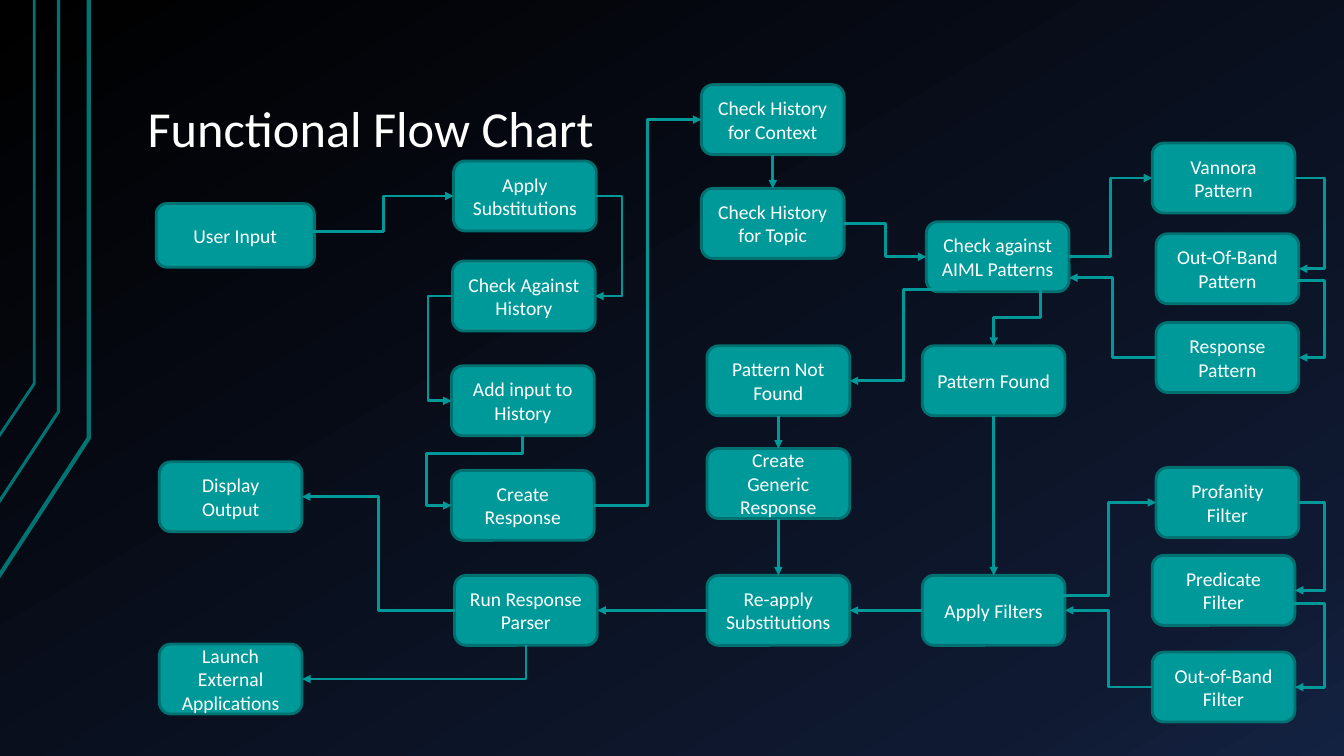
from copy import deepcopy

from lxml import etree
from pptx import Presentation
from pptx.dml.color import RGBColor
from pptx.enum.shapes import MSO_CONNECTOR, MSO_SHAPE
from pptx.enum.text import MSO_ANCHOR, PP_ALIGN
from pptx.oxml.ns import qn
from pptx.util import Pt

STRAIGHT, ELBOW = MSO_CONNECTOR.STRAIGHT, MSO_CONNECTOR.ELBOW
ROUNDED = MSO_SHAPE.ROUNDED_RECTANGLE
MIDDLE, BOTTOM = MSO_ANCHOR.MIDDLE, MSO_ANCHOR.BOTTOM
CENTER, LEFT_ALIGN = PP_ALIGN.CENTER, PP_ALIGN.LEFT

WHITE = RGBColor(0xFF, 0xFF, 0xFF)
TEAL = RGBColor(0x00, 0x99, 0x99)
DARK_TEAL = RGBColor(0x00, 0x71, 0x71)
TRIM_TEAL = RGBColor(0x00, 0x73, 0x73)
BACKDROP = [
    (0, RGBColor(0x00, 0x00, 0x00)),
    (0.85, RGBColor(0x0F, 0x19, 0x31)),
    (1, RGBColor(0x14, 0x22, 0x42)),
]
FONT = "Calibri"

SLIDE_W, SLIDE_H = 960, 540
STEP_W, STEP_H = 102, 50
LOOP_X = 946  # outer turn of the loops at the right edge

# Anchors are fractions of a step's width and height.
TOP, LEFT, BOTTOM_MID, RIGHT = (0.5, 0), (0, 0.5), (0.5, 1), (1, 0.5)
SITES = [TOP, LEFT, BOTTOM_MID, RIGHT]

# Label: (left, top)
STEPS = {
    "User Input": (111.6, 145.4),
    "Display Output": (113.8, 329.8),
    "Launch External Applications": (113.8, 460),
    "Apply Substitutions": (324, 115),
    "Check Against History": (323.2, 186.5),
    "Add input to History": (322.5, 261.3),
    "Create Response": (322.5, 336),
    "Run Response Parser": (324.7, 411),
    "Check History for Context": (501, 60.5),
    "Check History for Topic": (501, 134.6),
    "Pattern Not Found": (505, 247),
    "Create Generic Response": (505, 320.4),
    "Re-apply Substitutions": (505, 411),
    "Check against AIML Patterns": (661.7, 158.4),
    "Pattern Found": (658.8, 247),
    "Apply Filters": (658.8, 411),
    "Vannora Pattern": (823, 102.2),
    "Out-Of-Band Pattern": (825.8, 167),
    "Response Pattern": (825.8, 230.4),
    "Profanity Filter": (825.8, 334),
    "Predicate Filter": (823, 396.7),
    "Out-of-Band Filter": (823, 465.8),
}
WIDE_STEPS = {"User Input": (113, 45.5)}

STRAIGHT_FLOWS = [
    ("Check History for Context", BOTTOM_MID, "Check History for Topic", TOP),
    ("Pattern Not Found", BOTTOM_MID, "Create Generic Response", TOP),
    ("Create Generic Response", BOTTOM_MID, "Re-apply Substitutions", TOP),
    ("Pattern Found", BOTTOM_MID, "Apply Filters", TOP),
    ("Apply Filters", LEFT, "Re-apply Substitutions", RIGHT),
    ("Re-apply Substitutions", LEFT, "Run Response Parser", RIGHT),
]

# Last item: x of the vertical stretch, None for half way
SIDE_FLOWS = [
    ("User Input", (0.99, 0.44), "Apply Substitutions", LEFT, None),
    ("Apply Substitutions", RIGHT, "Check Against History", RIGHT, 444.5),
    ("Check Against History", LEFT, "Add input to History", LEFT, 306),
    ("Create Response", RIGHT, "Check History for Context", LEFT, None),
    ("Check History for Topic", RIGHT, "Check against AIML Patterns", LEFT, None),
    ("Check against AIML Patterns", RIGHT, "Vannora Pattern", LEFT, None),
    ("Vannora Pattern", RIGHT, "Out-Of-Band Pattern", RIGHT, LOOP_X),
    ("Out-Of-Band Pattern", (0.96, 0.67), "Response Pattern", RIGHT, LOOP_X),
    ("Response Pattern", LEFT, "Check against AIML Patterns", (1, 0.8), None),
    ("Check against AIML Patterns", (0.22, 0.97), "Pattern Not Found", RIGHT, None),
    ("Apply Filters", (0.85, 0.29), "Profanity Filter", LEFT, 791.5),
    ("Profanity Filter", RIGHT, "Predicate Filter", RIGHT, LOOP_X),
    ("Predicate Filter", (0.97, 0.69), "Out-of-Band Filter", RIGHT, LOOP_X),
    ("Out-of-Band Filter", LEFT, "Apply Filters", RIGHT, None),
    ("Run Response Parser", LEFT, "Display Output", RIGHT, None),
]

# Last items: connector preset and its bends
DROP_FLOWS = [
    ("Check against AIML Patterns", (0.8, 0.97), "Pattern Found", TOP,
     "bentConnector3", [0.5]),
    ("Add input to History", BOTTOM_MID, "Create Response", LEFT,
     "bentConnector4", [0.25, 1.35]),
    ("Run Response Parser", BOTTOM_MID, "Launch External Applications", RIGHT,
     "bentConnector2", []),
]


def paint_background(slide):
    fill = slide.background.fill
    fill.gradient()
    fill.gradient_angle = 300
    stop_list = next(slide.element.iter(qn("a:gsLst")))
    stop_list.append(deepcopy(stop_list[-1]))
    for stop, (position, color) in zip(fill.gradient_stops, BACKDROP):
        stop.position = position
        stop.color.rgb = color


def add_corner_trim(slide):
    """Draw the three bent lines along the left edge: x, bend y, foot y, weight."""
    for x, bend, foot, weight in [(63.4, 313, 412, 3), (41.8, 294, 359, 2.25),
                                  (24.5, 274, 312, 2)]:
        builder = slide.shapes.build_freeform(Pt(-1), Pt(foot))
        builder.add_line_segments([(Pt(x), Pt(bend)), (Pt(x), 0)], close=False)
        trim = builder.convert_to_shape()
        trim.shadow.inherit = False
        trim.fill.background()
        trim.line.color.rgb = TRIM_TEAL
        trim.line.width = Pt(weight)


def format_text(frame, size, align, anchor):
    frame.word_wrap = True
    frame.vertical_anchor = anchor
    paragraph = frame.paragraphs[0]
    paragraph.alignment = align
    font = paragraph.runs[0].font
    font.name, font.size, font.color.rgb = FONT, Pt(size), WHITE


def add_title(slide, left, top, width, height):
    title = slide.shapes.title
    title.left, title.top = Pt(left), Pt(top)
    title.width, title.height = Pt(width), Pt(height)
    frame = title.text_frame
    frame.text = "Functional Flow Chart"
    frame.margin_left = frame.margin_right = Pt(9.4)
    frame.margin_top = frame.margin_bottom = Pt(5)
    frame.paragraphs[0].line_spacing = 0.9
    format_text(frame, 36, LEFT_ALIGN, BOTTOM)


def add_step(slide, label, left, top, width, height):
    step = slide.shapes.add_shape(ROUNDED, Pt(left), Pt(top), Pt(width), Pt(height))
    step.shadow.inherit = False
    step.fill.solid()
    step.fill.fore_color.rgb = TEAL
    step.line.color.rgb = DARK_TEAL
    step.line.width = Pt(2)
    step.text_frame.text = label
    format_text(step.text_frame, 14, CENTER, MIDDLE)
    return step


def anchor_point(step, anchor):
    return (int(step.left + step.width * anchor[0]),
            int(step.top + step.height * anchor[1]))


def add_flow(slide, kind, source, start, target, end):
    """Add an arrow, attached wherever an anchor is a connection site."""
    flow = slide.shapes.add_connector(
        kind, *anchor_point(source, start), *anchor_point(target, end))
    if start in SITES:
        flow.begin_connect(source, SITES.index(start))
    if end in SITES:
        flow.end_connect(target, SITES.index(end))
    flow.line.color.rgb = TEAL
    flow.line.width = Pt(2)
    etree.SubElement(flow.line._get_or_add_ln(), qn("a:tailEnd"), type="triangle")
    etree.SubElement(flow._element.spPr, qn("a:effectLst"))
    return flow


def set_bends(flow, preset, bends):
    geometry = flow._element.spPr.find(qn("a:prstGeom"))
    geometry.set("prst", preset)
    guides = geometry.find(qn("a:avLst"))
    for number, bend in enumerate(bends, 1):
        etree.SubElement(guides, qn("a:gd"), name=f"adj{number}",
                         fmla=f"val {round(bend * 100000)}")


def turn_downward(flow):
    """Rotate an elbow so that it leaves downward and ends lower left."""
    center_x = flow.left + flow.width // 2
    center_y = flow.top + flow.height // 2
    width, height = flow.height, flow.width
    flow.left, flow.top = center_x - width // 2, center_y - height // 2
    flow.width, flow.height = width, height
    frame = flow._element.spPr.find(qn("a:xfrm"))
    frame.attrib.pop("flipH", None)
    frame.set("rot", "5400000")


def add_flow_chart(slide):
    steps = {label: add_step(slide, label, *corner,
                             *WIDE_STEPS.get(label, (STEP_W, STEP_H)))
             for label, corner in STEPS.items()}
    for source, start, target, end in STRAIGHT_FLOWS:
        add_flow(slide, STRAIGHT, steps[source], start, steps[target], end)
    for source, start, target, end, turn_x in SIDE_FLOWS:
        flow = add_flow(slide, ELBOW, steps[source], start, steps[target], end)
        bend = 0.5
        if turn_x is not None:
            bend = (Pt(turn_x) - flow.begin_x) / (flow.end_x - flow.begin_x)
        set_bends(flow, "bentConnector3", [bend])
    for source, start, target, end, preset, bends in DROP_FLOWS:
        flow = add_flow(slide, ELBOW, steps[source], start, steps[target], end)
        turn_downward(flow)
        set_bends(flow, preset, bends)


def main():
    deck = Presentation()
    deck.slide_width, deck.slide_height = Pt(SLIDE_W), Pt(SLIDE_H)
    slide = deck.slides.add_slide(deck.slide_layouts[5])
    paint_background(slide)
    add_corner_trim(slide)
    add_title(slide, 96, 21.6, 816, 96.5)
    add_flow_chart(slide)
    deck.save("out.pptx")


if __name__ == "__main__":
    main()
